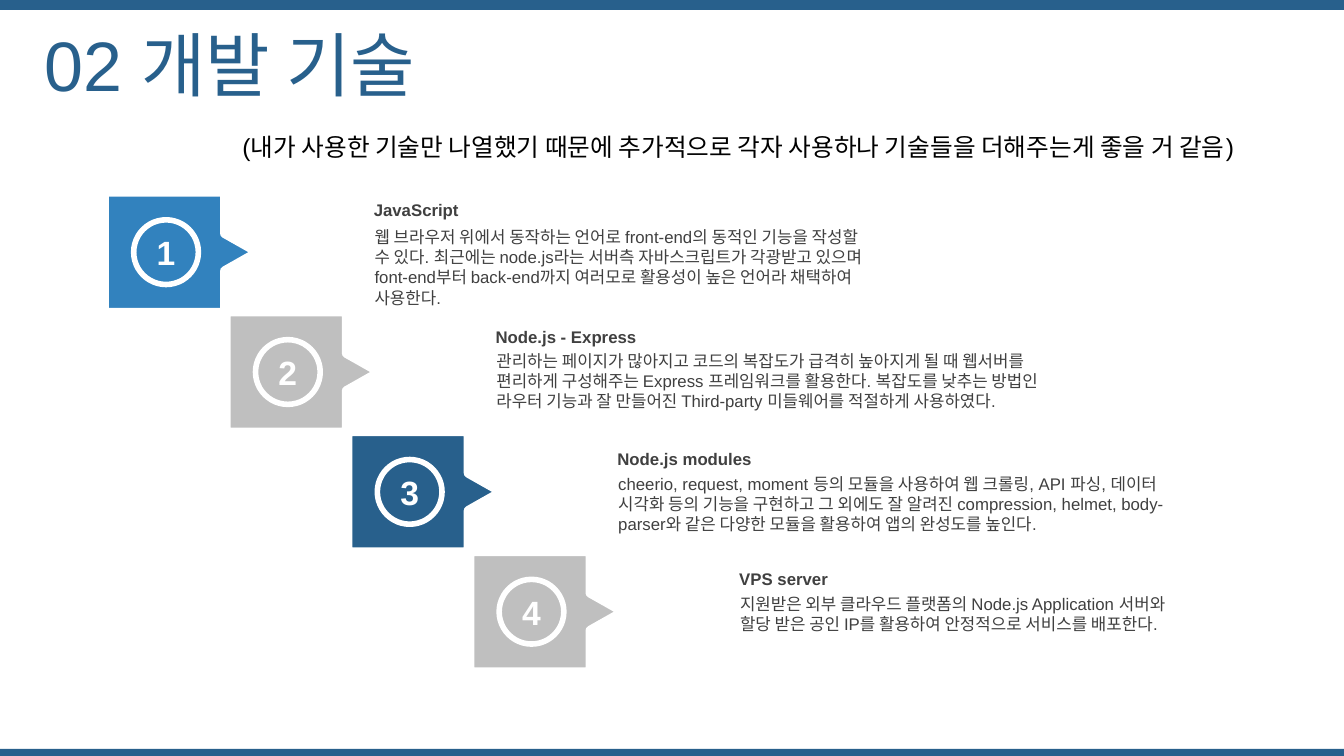
from lxml import etree
from pptx import Presentation
from pptx.dml.color import RGBColor
from pptx.enum import shapes, text
from pptx.oxml import ns
from pptx.util import Cm, Pt

NAVY, BLUE, GREY, WHITE, INK = "28608C", "3282BE", "BFBFBF", "FFFFFF", "404040"

TITLE = "02 개발 기술"
SUBTITLE = "(내가 사용한 기술만 나열했기 때문에 추가적으로 각자 사용하나 기술들을 더해주는게 좋을 거 같음)"

# heading, paragraphs, tile colour, heading top, body top, text width (cm)
STEPS = [
    ("JavaScript",
     ["웹 브라우저 위에서 동작하는 언어로 front-end의 동적인 기능을 작성할 수 있다. "
      "최근에는 node.js라는 서버측 자바스크립트가 각광받고 있으며 font-end부터 "
      "back-end까지 여러모로 활용성이 높은 언어라 채택하여 사용한다."],
     BLUE, 4.9, 5.59, 13.08),
    ("Node.js - Express",
     ["관리하는 페이지가 많아지고 코드의 복잡도가 급격히 높아지게 될 때 웹서버를 "
      "편리하게 구성해주는 Express 프레임워크를 활용한다. 복잡도를 낮추는 방법인 "
      "라우터 기능과 잘 만들어진 Third-party 미들웨어를 적절하게 사용하였다."],
     GREY, 8.1, 8.71, 14.35),
    ("Node.js modules",
     ["cheerio, request, moment 등의 모듈을 사용하여 웹 크롤링, API 파싱, 데이터 "
      "시각화 등의 기능을 구현하고 그 외에도 잘 알려진 compression, helmet, "
      "body-parser와 같은 다양한 모듈을 활용하여 앱의 완성도를 높인다."],
     NAVY, 11.18, 11.81, 14.76),
    ("VPS server",
     ["지원받은 외부 클라우드 플랫폼의 Node.js Application 서버와",
      "할당 받은 공인 IP를 활용하여 안정적으로 서비스를 배포한다."],
     GREY, 14.2, 14.83, 13.39),
]

SLIDE_W, SLIDE_H = 33.87, 19.05
FIRST_LEFT, FIRST_TOP = 2.62, 4.83
STEP_X, STEP_Y = 3.07, 3.02
TILE, TIP = 3.05, 3.89
NOTCH_TOP, NOTCH_BOTTOM = 1.05, 2.0
RING, RING_X, RING_Y = 1.63, 0.75, 0.71
TEXT_X = 6.55


def color(value):
    return RGBColor.from_string(value)


def write(box, paragraphs, size=12, ink=INK, bold=False,
          align=text.PP_ALIGN.LEFT, anchor=text.MSO_ANCHOR.TOP, spacing=None, wrap=True):
    frame = box.text_frame
    frame.word_wrap = wrap
    frame.auto_size = text.MSO_AUTO_SIZE.NONE
    frame.vertical_anchor = anchor
    for index, line in enumerate(paragraphs):
        para = frame.add_paragraph() if index else frame.paragraphs[0]
        para.alignment = align
        para.line_spacing = spacing
        span = para.add_run()
        span.text = line
        span.font.name = "Arial"
        span.font.size = Pt(size)
        span.font.bold = bold
        span.font.color.rgb = color(ink)


def place(box, left, top, width, height):
    box.left, box.top, box.width, box.height = Cm(left), Cm(top), Cm(width), Cm(height)


def paint(shape, fill=None, line=None, weight=1):
    shape.shadow.inherit = False
    if fill:
        shape.fill.solid()
        shape.fill.fore_color.rgb = color(fill)
    else:
        shape.fill.background()
    if line:
        shape.line.color.rgb = color(line)
        shape.line.width = Pt(weight)
    else:
        shape.line.fill.background()


def add_bar(page, top, height):
    bar = page.shapes.add_shape(shapes.MSO_SHAPE.RECTANGLE, 0, Cm(top), Cm(SLIDE_W), Cm(height))
    paint(bar, fill=NAVY)


def add_tile(page, left, top, fill):
    """Draw a square whose right side carries a small pointer."""
    outline = [(TILE, 0), (TILE, NOTCH_TOP), (TIP, (NOTCH_TOP + NOTCH_BOTTOM) / 2),
               (TILE, NOTCH_BOTTOM), (TILE, TILE), (0, TILE)]
    builder = page.shapes.build_freeform(Cm(left), Cm(top))
    builder.add_line_segments([(Cm(left + x), Cm(top + y)) for x, y in outline])
    paint(builder.convert_to_shape(), fill, WHITE, 7)


def add_ring(page, left, top, number):
    ring = page.shapes.add_shape(shapes.MSO_SHAPE.OVAL, Cm(left), Cm(top), Cm(RING), Cm(RING))
    paint(ring, line=WHITE, weight=4)
    write(ring, [str(number)], size=24, ink=WHITE, bold=True, wrap=False,
          align=text.PP_ALIGN.CENTER, anchor=text.MSO_ANCHOR.MIDDLE)


def add_text(page, left, top, width, height, paragraphs, **style):
    box = page.shapes.add_textbox(Cm(left), Cm(top), Cm(width), Cm(height))
    write(box, paragraphs, **style)


def main():
    deck = Presentation()
    deck.slide_width, deck.slide_height = Cm(SLIDE_W), Cm(SLIDE_H)
    page = deck.slides.add_slide(deck.slide_layouts[1])
    add_bar(page, 0, 0.25)
    add_bar(page, SLIDE_H - 0.18, 0.18)

    title = page.shapes.title
    place(title, 0.86, 0.79, 32.16, 2.01)
    write(title, [TITLE], size=50, ink=NAVY, spacing=0.8, anchor=text.MSO_ANCHOR.MIDDLE)

    subtitle = page.placeholders[1]
    place(subtitle, 3.91, 3.25, 29.39, 1.09)
    props = subtitle.text_frame.paragraphs[0]._p.get_or_add_pPr()
    props.set("marL", "0")
    props.set("indent", "0")
    etree.SubElement(props, ns.qn("a:buNone"))
    write(subtitle, [SUBTITLE], size=17.6, ink="000000", spacing=0.7,
          align=text.PP_ALIGN.CENTER, anchor=text.MSO_ANCHOR.MIDDLE)
    subtitle.text_frame.paragraphs[0].space_before = Pt(0)

    for index, (heading, body, fill, heading_top, body_top, width) in enumerate(STEPS):
        left, top = FIRST_LEFT + index * STEP_X, FIRST_TOP + index * STEP_Y
        add_tile(page, left, top, fill)
        add_ring(page, left + RING_X, top + RING_Y, index + 1)
        add_text(page, left + TEXT_X, heading_top, width, 0.77, [heading], bold=True)
        add_text(page, left + TEXT_X + 0.02, body_top, width, 2.3, body)

    deck.save("out.pptx")


if __name__ == "__main__":
    main()
